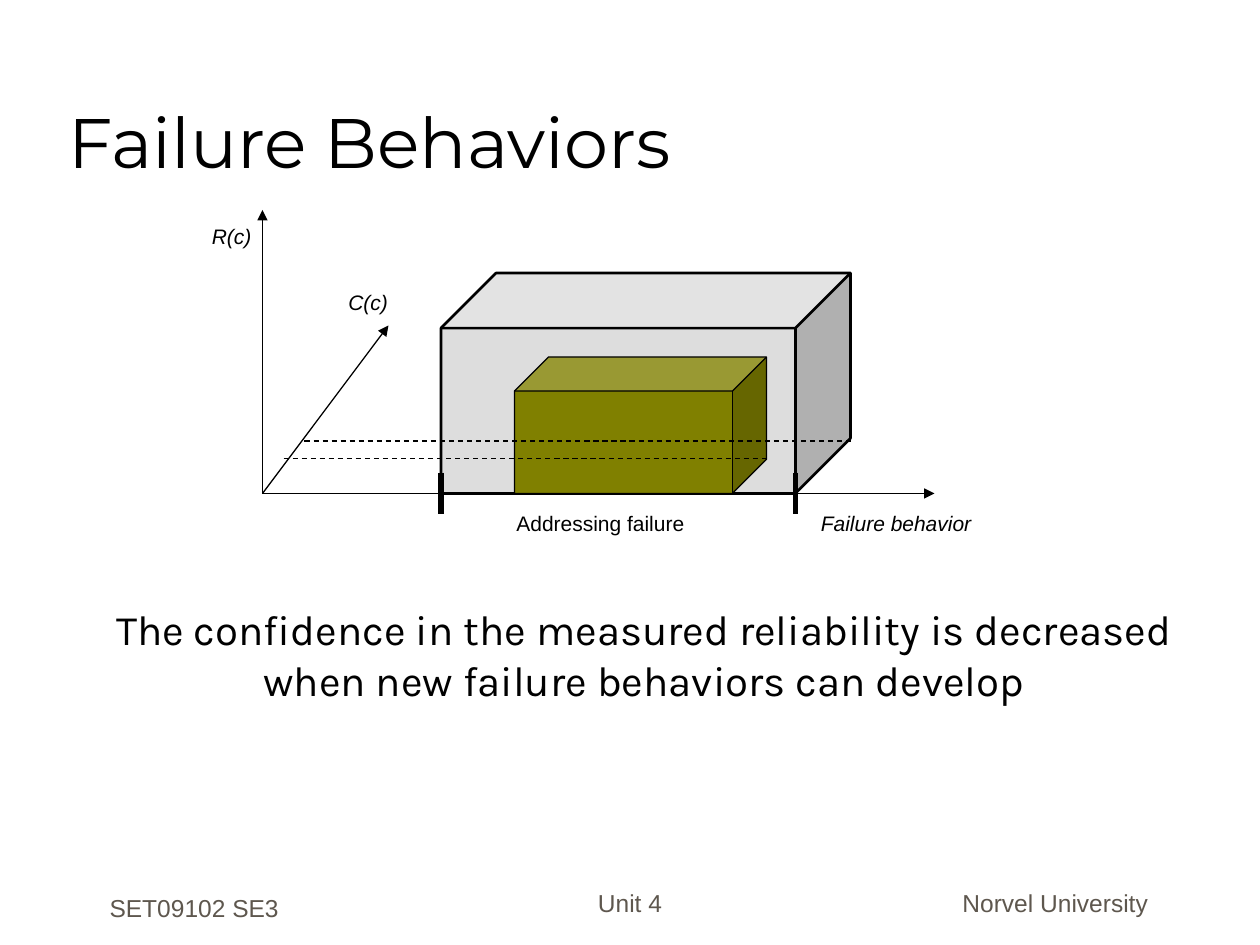
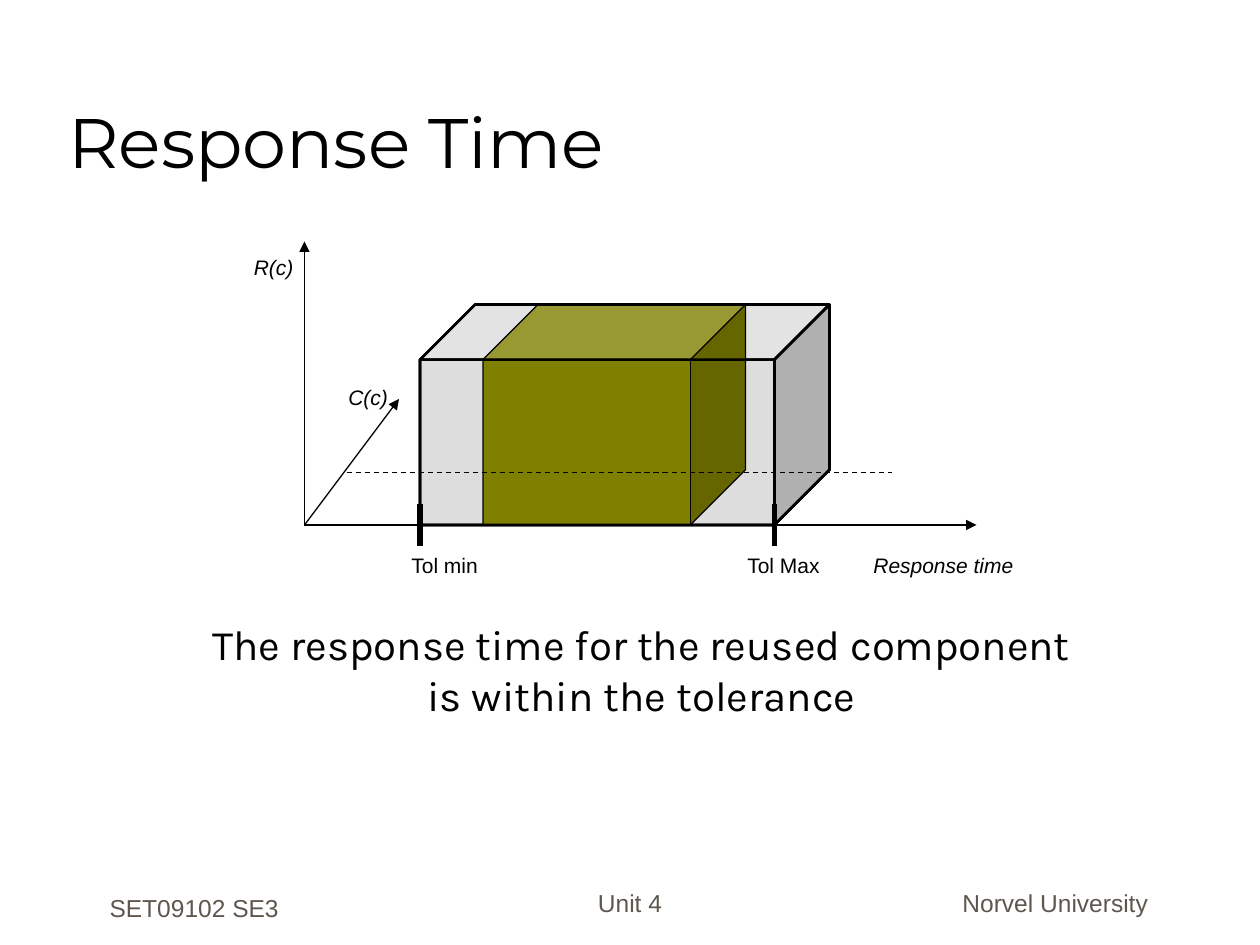
"""Build two slides showing reliability cubes on failure and response axes."""
import pptx
import pptx.dml.color
import pptx.enum.dml
import pptx.enum.shapes
import pptx.enum.text
import pptx.oxml.ns
import pptx.util
from lxml import etree

Pt = pptx.util.Pt
ALIGN = pptx.enum.text.PP_ALIGN
ANCHOR = pptx.enum.text.MSO_ANCHOR
qn = pptx.oxml.ns.qn


def color(hex_string):
    """Turn a hex string into a colour."""
    return pptx.dml.color.RGBColor.from_string(hex_string)


def write(frame, text, font="Arial", size=12, ink="000000", italic=False,
          align=ALIGN.LEFT, space_before=0):
    """Write each line of the text as one formatted paragraph."""
    for index, line in enumerate(text.split("\n")):
        paragraph = frame.add_paragraph() if index else frame.paragraphs[0]
        paragraph.alignment = align
        paragraph.space_before = Pt(space_before)
        run = paragraph.add_run()
        run.text = line
        run.font.name = font
        run.font.size = Pt(size)
        run.font.italic = italic
        run.font.color.rgb = color(ink)


class Deck:
    """Hold the shared style and the current slide."""

    black, gray, olive, footer_ink = "000000", "DDDDDD", "808000", "5E574E"
    thin, bold, heavy = 0.75, 1.5, 3
    depth = 0.25

    def __init__(self):
        """Start an empty presentation."""
        self.presentation = pptx.Presentation()
        self.presentation.slide_width = Pt(720)
        self.presentation.slide_height = Pt(540)
        self.slide = None

    def new_slide(self, title):
        """Add a blank slide with its footers and title."""
        self.slide = self.presentation.slides.add_slide(self.presentation.slide_layouts[6])
        footers = (
            ("Norvel University", (504, 504, 198, 24), ANCHOR.TOP),
            ("SET09102 SE3", (36, 496, 150, 34.5), ANCHOR.BOTTOM),
            ("Unit 4", (246, 492, 228, 36), ANCHOR.BOTTOM),
        )
        for text, box, anchor in footers:
            self.text(text, box, anchor=anchor, size=14, ink=self.footer_ink,
                      align=ALIGN.CENTER, space_before=8.8)
        self.text(title, (32, 18, 612, 90), anchor=ANCHOR.BOTTOM,
                  font="Montserrat", size=40)

    def text(self, text, box, anchor=ANCHOR.TOP, **text_format):
        """Add a text box."""
        frame = self.slide.shapes.add_textbox(*map(Pt, box)).text_frame
        frame.word_wrap = True
        frame.vertical_anchor = anchor
        write(frame, text, **text_format)

    def label(self, text, left, top, width, italic=False):
        """Add a one-line diagram label."""
        self.text(text, (left, top, width, 21.5), italic=italic)

    def caption(self, text, left, top, width):
        """Add the centred statement below the diagram."""
        self.text(text, (left, top, width, 65),
                  font="Karla", size=24, align=ALIGN.CENTER)

    def cube(self, box, fill=None, weight=bold):
        """Add a cube, left open when no fill is given."""
        shape = self.slide.shapes.add_shape(
            pptx.enum.shapes.MSO_SHAPE.CUBE, *map(Pt, box))
        shape.adjustments[0] = self.depth
        shape.shadow.inherit = False
        if fill:
            shape.fill.solid()
            shape.fill.fore_color.rgb = color(fill)
        else:
            shape.fill.background()
        shape.line.color.rgb = color(self.black)
        shape.line.width = Pt(weight)

    def line(self, start, end, weight=thin, dashed=False, arrow=False):
        """Add a straight line, dashed or with an arrowhead if asked."""
        connector = self.slide.shapes.add_connector(
            pptx.enum.shapes.MSO_CONNECTOR.STRAIGHT, *map(Pt, (*start, *end)))
        connector.line.color.rgb = color(self.black)
        connector.line.width = Pt(weight)
        if dashed:
            connector.line.dash_style = pptx.enum.dml.MSO_LINE.DASH
        properties = connector._element.spPr
        if arrow:
            etree.SubElement(properties.find(qn("a:ln")), qn("a:tailEnd"), type="triangle")
        etree.SubElement(properties, qn("a:effectLst"))

    def axes(self, origin, confidence_end):
        """Draw the behaviour, confidence and reliability axes."""
        x, y = origin
        for end in ((x + 384, y), confidence_end, (x, y - 162)):
            self.line(origin, end, arrow=True)
        self.label("R(c)", x - 36, y - 158, 42, italic=True)

    def range_ticks(self, cube_box):
        """Mark both ends of the cube's front face on the axis."""
        left, top, width, height = cube_box
        base = top + height
        for x in (left, left + width - self.depth * height):
            self.line((x, base - 12), (x, base + 12), weight=self.heavy)


def failure_behaviors(deck):
    """Build the failure behaviour slide."""
    deck.new_slide("Failure Behaviors")
    domain = (252, 156, 234, 126)
    deck.cube(domain, deck.gray)
    deck.cube((294, 204, 144, 78), deck.olive, deck.thin)
    deck.axes((150, 282), (222, 186))
    deck.line((174, 252), (486, 252), dashed=True)
    deck.line((162, 262), (438, 262), dashed=True)
    deck.range_ticks(domain)
    deck.label("C(c)", 192, 162, 42, italic=True)
    deck.label("Failure behavior", 462, 288, 110, italic=True)
    deck.label("Addressing failure", 288, 288, 120)
    deck.caption("The confidence in the measured reliability is decreased\n"
                 "when new failure behaviors can develop", 48, 341.5, 640)


def response_time(deck):
    """Build the response time slide."""
    deck.new_slide("Response Time")
    tolerance = (240, 174, 234, 126)
    deck.cube(tolerance, deck.gray)
    deck.cube((276, 174, 150, 126), deck.olive, deck.thin)
    deck.axes((174, 300), (228, 228))
    deck.line((198, 270), (510, 270), dashed=True)
    deck.cube(tolerance)
    deck.range_ticks(tolerance)
    deck.label("C(c)", 192, 216, 42, italic=True)
    deck.label("Response time", 492, 312, 104, italic=True)
    deck.label("Tol min", 228, 312, 60)
    deck.label("Tol Max", 420, 312, 64)
    deck.caption("The response time for the reused component\n"
                 "is within the tolerance", 103, 350, 527)


def main():
    """Build and save the presentation."""
    deck = Deck()
    failure_behaviors(deck)
    response_time(deck)
    deck.presentation.save("out.pptx")


if __name__ == "__main__":
    main()
